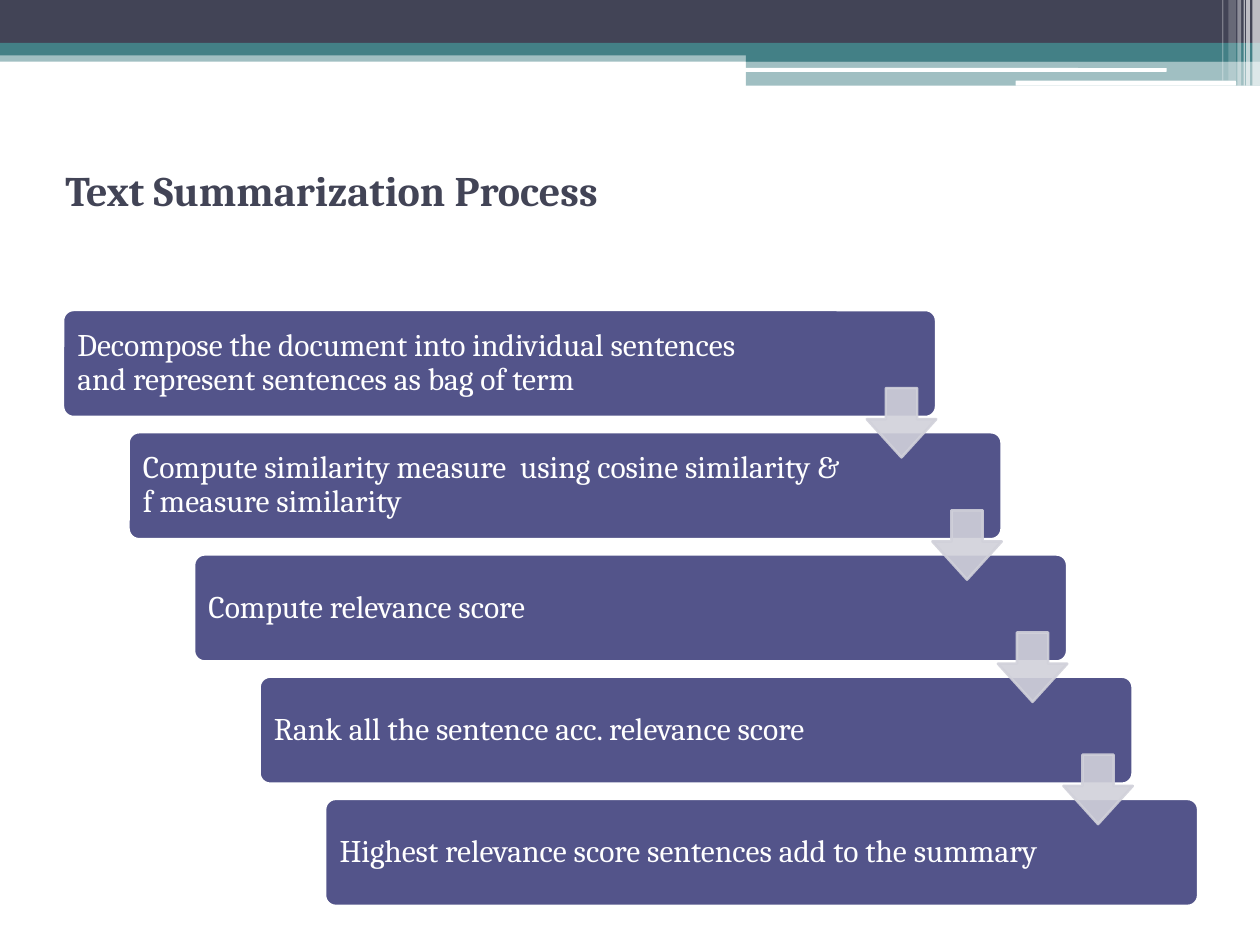
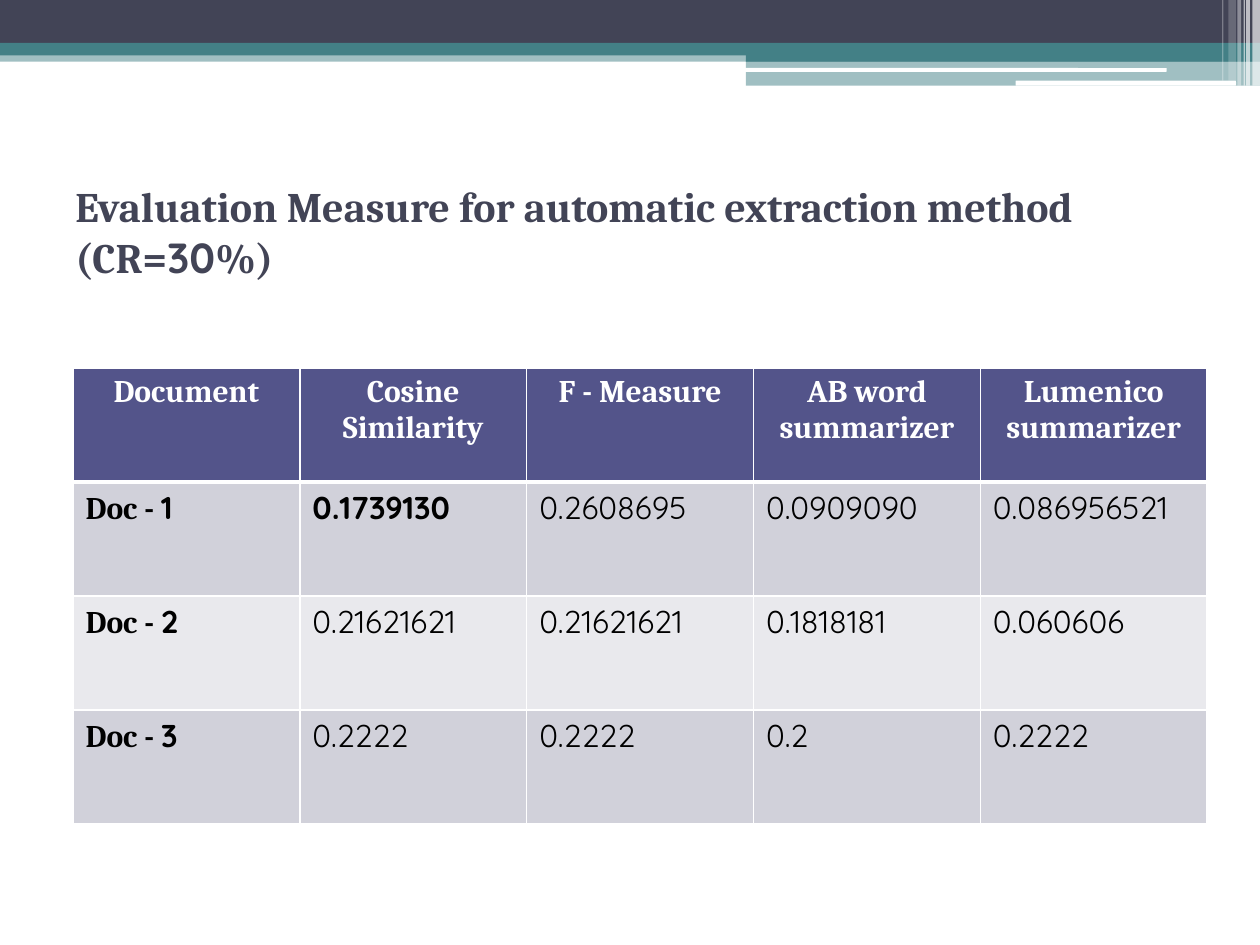
from lxml.etree import SubElement
from pptx import Presentation
from pptx.dml.color import RGBColor
from pptx.enum.shapes import MSO_SHAPE
from pptx.enum.text import MSO_ANCHOR, PP_ALIGN
from pptx.oxml.ns import qn
from pptx.util import Inches, Pt

COLORS = {
    "dark": "424456",
    "teal": "438086",
    "indigo": "53548A",
    "lilac": "D1D1DA",
    "pale": "E9E9ED",
    "white": "FFFFFF",
    "black": "000000",
}
SERIF, DIGITS = "Cambria", "Quicksand"
TITLE_STYLE = {"name": SERIF, "size": Pt(24), "bold": True}
BODY_STYLE = {"name": SERIF, "size": Pt(18), "bold": False}

# Top band, back to front: left, top, width, height, color, opacity in percent
BANDS = [
    (0, 0.4, 10, 0.09, "teal", 50),
    (0, 0, 10, 0.34, "dark", 100),
    (0, 0.34, 10, 0.1, "teal", 100),
    (5.92, 0.39, 4.08, 0.1, "teal", 100),
    (5.92, 0.48, 4.08, 0.2, "teal", 50),
]
RULES = [
    (5.91, 0.54, 3.35, 0.03, "white", 100),
    (8.06, 0.64, 1.75, 0.04, "white", 100),
]
STRIPES = [
    (9.94, 0, 0.06, 0.68, "white", 65),
    (9.89, 0, 0.03, 0.68, "white", 65),
    (9.87, 0, 0.01, 0.68, "white", 60),
    (9.82, 0, 0.03, 0.68, "white", 40),
    (9.75, 0, 0.06, 0.64, "white", 20),
    (9.7, 0, 0.01, 0.64, "white", 30),
]

STEPS = [
    "Decompose the document into individual sentences  and "
    "represent sentences as bag of term",
    "Compute similarity measure  using cosine similarity & "
    "f measure similarity",
    "Compute relevance score",
    "Rank all the sentence acc. relevance score",
    "Highest relevance score sentences add to the summary",
]
HEADERS = ["Document", "Cosine Similarity", "F - Measure",
           "AB word summarizer", "Lumenico summarizer"]
SCORES = [
    ["0.1739130", "0.2608695", "0.0909090", "0.086956521"],
    ["0.21621621", "0.21621621", "0.1818181", "0.060606"],
    ["0.2222", "0.2222", "0.2", "0.2222"],
]


def rgb(color):
    """Return the named color."""
    return RGBColor.from_string(COLORS[color])


def set_fill(fill, color, opacity=100):
    """Make a fill solid, see-through when opacity is below 100."""
    fill.solid()
    fill.fore_color.rgb = rgb(color)
    if opacity < 100:
        value = fill._xPr.find(qn("a:solidFill"))[0]
        SubElement(value, qn("a:alpha"), val=str(opacity * 1000))


def add_block(page, kind, left, top, width, height, color, opacity=100,
              line=None, adjustments=()):
    """Add a flat preset shape, outlined when a line color is given."""
    box = page.shapes.add_shape(kind, Inches(left), Inches(top),
                                Inches(width), Inches(height))
    box.shadow.inherit = False
    for index, value in enumerate(adjustments):
        box.adjustments[index] = value
    set_fill(box.fill, color, opacity)
    if line:
        box.line.width = Pt(1.5)
        set_fill(box.line.fill, line, opacity)
    else:
        box.line.fill.background()
    return box


def add_span(para, text, color, style, **changes):
    """Add a run of text with a font style."""
    span = para.add_run()
    span.text = text
    for name, value in {**style, **changes}.items():
        setattr(span.font, name, value)
    span.font.color.rgb = rgb(color)


def add_page(deck):
    """Add a blank page with the band along its top."""
    page = deck.slides.add_slide(deck.slide_layouts[6])
    for band in BANDS:
        add_block(page, MSO_SHAPE.RECTANGLE, *band)
    for rule in RULES:
        add_block(page, MSO_SHAPE.ROUNDED_RECTANGLE, *rule)
    for stripe in STRIPES:
        add_block(page, MSO_SHAPE.RECTANGLE, *stripe)
    return page


def add_title(page, left, top, pieces):
    """Add the title from (text, font) pieces."""
    box = page.shapes.add_textbox(Inches(left), Inches(top),
                                  Inches(9), Inches(1.17))
    frame = box.text_frame
    frame.word_wrap = True
    frame.vertical_anchor = MSO_ANCHOR.MIDDLE
    for text, font in pieces:
        add_span(frame.paragraphs[0], text, "dark", TITLE_STYLE, name=font)


def add_step(page, left, top, text):
    """Add one process step, keeping its right end free for the arrows."""
    box = add_block(page, MSO_SHAPE.ROUNDED_RECTANGLE, left, top, 6.93, 0.85,
                    "indigo", line="white", adjustments=[0.1])
    frame = box.text_frame
    layout = {"word_wrap": True, "vertical_anchor": MSO_ANCHOR.MIDDLE,
              "margin_left": Inches(0.09), "margin_right": Inches(1.17),
              "margin_top": Inches(0.07), "margin_bottom": Inches(0.07)}
    for name, value in layout.items():
        setattr(frame, name, value)
    para = frame.paragraphs[0]
    para.alignment = PP_ALIGN.LEFT
    para.line_spacing = 0.9
    add_span(para, text, "white", BODY_STYLE)


def add_staircase(page):
    """Add the descending steps, then the arrows that link them."""
    left, top, shift, drop = 0.5, 2.46, 0.52, 0.97
    for index, text in enumerate(STEPS):
        add_step(page, left + index * shift, top + index * drop, text)
    for index in range(len(STEPS) - 1):
        add_block(page, MSO_SHAPE.DOWN_ARROW, 6.88 + index * shift,
                  3.08 + index * drop, 0.55, 0.55, "lilac", opacity=90,
                  line="lilac", adjustments=[0.45, 0.55])


def set_borders(cell, **widths):
    """Draw white borders, 1 point wide unless a side says otherwise."""
    properties = cell._tc.get_or_add_tcPr()
    for side in "LRTB":
        width = Pt(widths.get(side, 1))
        line = SubElement(properties, qn("a:ln" + side), w=str(width))
        fill = SubElement(line, qn("a:solidFill"))
        SubElement(fill, qn("a:srgbClr"), val=COLORS["white"])


def fill_header(cell, text):
    """Fill a column heading."""
    set_borders(cell, B=3)
    set_fill(cell.fill, "indigo")
    para = cell.text_frame.paragraphs[0]
    para.alignment = PP_ALIGN.CENTER
    add_span(para, text, "white", BODY_STYLE, bold=True)


def add_score_table(page):
    """Add the table of scores per document and method."""
    table = page.shapes.add_table(
        len(SCORES) + 1, len(HEADERS), Inches(0.58), Inches(2.92),
        Inches(9), Inches(3.62)).table
    for column, text in enumerate(HEADERS):
        fill_header(table.cell(0, column), text)
    for row, scores in enumerate(SCORES, start=1):
        for column in range(len(HEADERS)):
            cell = table.cell(row, column)
            set_borders(cell, T=3 if row == 1 else 1)
            set_fill(cell.fill, "lilac" if row % 2 else "pale")
            para = cell.text_frame.paragraphs[0]
            if column == 0:
                add_span(para, "Doc - ", "black", BODY_STYLE, bold=True)
                add_span(para, str(row), "black", BODY_STYLE,
                         name=DIGITS, bold=True)
            else:
                add_span(para, scores[column - 1], "black", BODY_STYLE,
                         name=DIGITS, bold=(row, column) == (1, 1))


def main():
    """Build and save the deck."""
    deck = Presentation()
    deck.slide_width, deck.slide_height = Inches(10), Inches(7.5)

    page = add_page(deck)
    add_title(page, 0.42, 0.92, [("Text Summarization Process", SERIF)])
    add_staircase(page)

    page = add_page(deck)
    add_title(page, 0.5, 1.25, [
        ("Evaluation Measure for automatic extraction method (CR=", SERIF),
        ("30", DIGITS), ("%)", SERIF)])
    add_score_table(page)

    deck.save("out.pptx")


main()
